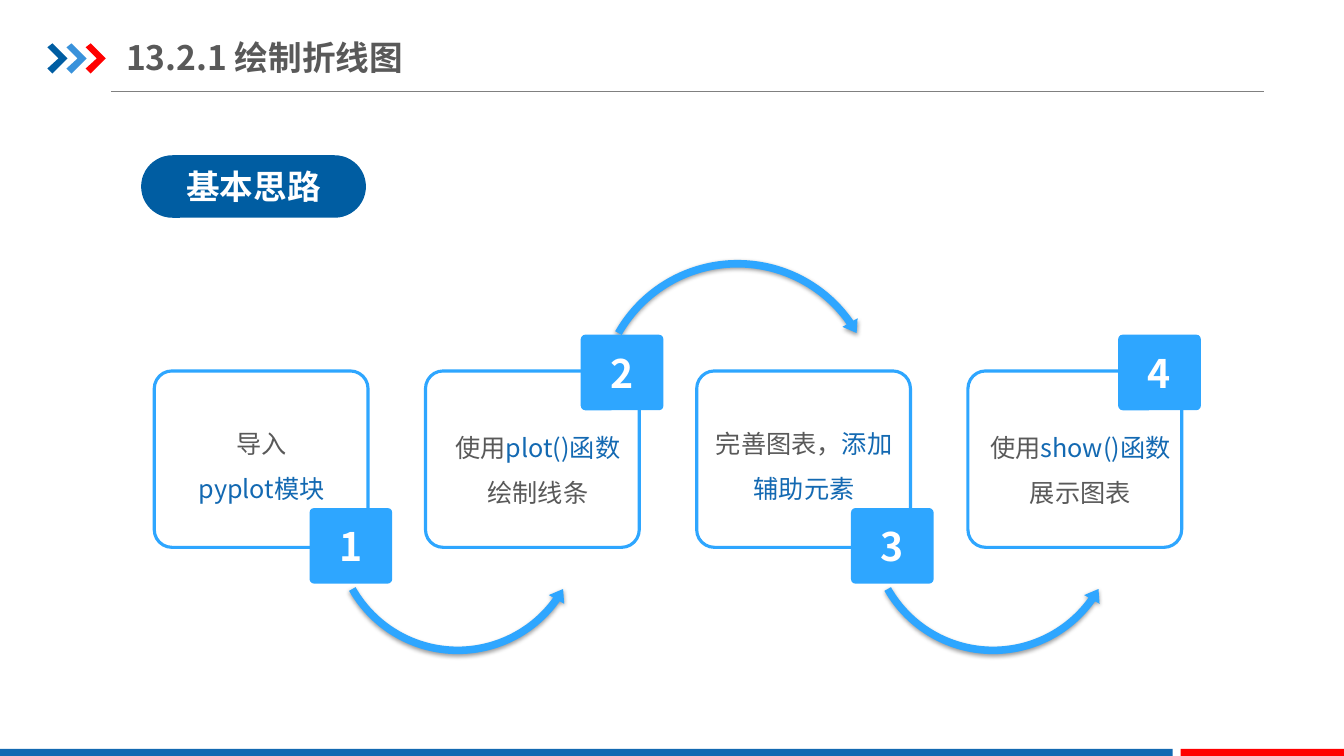
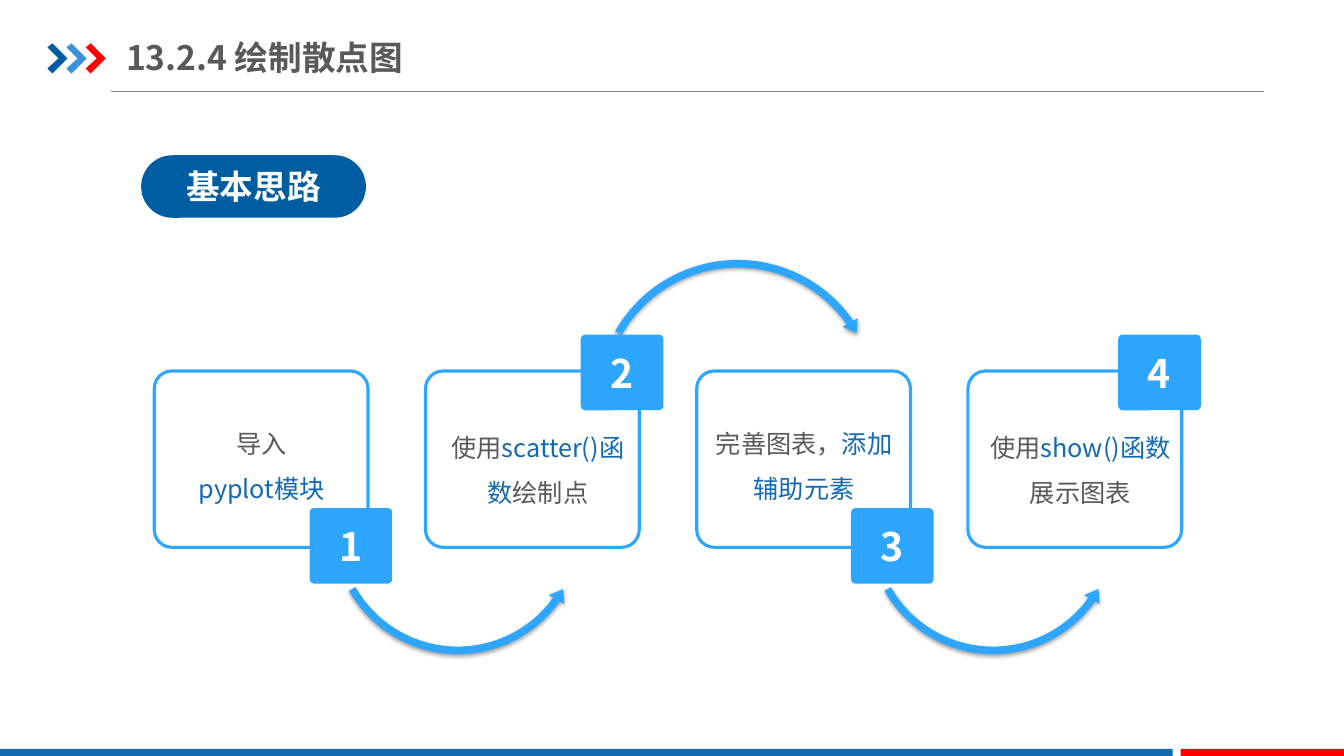
import collections

import lxml.etree
import pptx
import pptx.dml.color
import pptx.enum.shapes
import pptx.enum.text
import pptx.oxml.ns
import pptx.util

Inches = pptx.util.Inches
RGBColor = pptx.dml.color.RGBColor
SHAPE = pptx.enum.shapes.MSO_SHAPE
ALIGN = pptx.enum.text.PP_ALIGN
ANCHOR = pptx.enum.text.MSO_ANCHOR
qn = pptx.oxml.ns.qn

FONT = "Noto Sans CJK SC"
NAVY = RGBColor(0x00, 0x5D, 0xA2)
MID_BLUE = RGBColor(0x39, 0x92, 0xDB)
BLUE = RGBColor(0x13, 0x69, 0xB2)
SKY = RGBColor(0x2E, 0xA6, 0xFF)
RED = RGBColor(0xFF, 0x00, 0x00)
GREY = RGBColor(0x59, 0x59, 0x59)
RULE_GREY = RGBColor(0x80, 0x80, 0x80)
WHITE = RGBColor(0xFF, 0xFF, 0xFF)

FLOW_LEFT, FLOW_TOP, STEP_PITCH = 1.53, 3.68, 2.69
FRAME_WIDTH, FRAME_HEIGHT = 2.12, 1.75
BADGE_WIDTH, BADGE_HEIGHT = 0.82, 0.75

# badge_dx is measured from the left side of the step's frame
Step = collections.namedtuple("Step", "badge_dx badge_below paragraphs")
# dx and top place the arrow from the frame of the step it leaves
Arrow = collections.namedtuple("Arrow", "step dx dy size preset adjustments")

DIP = (SHAPE.LEFT_CIRCULAR_ARROW, (0.029, 3.512, 21.267, 90.245, 0.034))
RISE = (SHAPE.CIRCULAR_ARROW, (0.026, 3.115, 195.129, 125.755, 0.03))
ARROWS = [
    Arrow(0, 1.72, 0.28, 2.58, *DIP),
    Arrow(1, 1.65, -1.15, 2.89, *RISE),
    Arrow(2, 1.65, 0.28, 2.58, *DIP),
]


def plot_steps(function_call, purpose):
    """Four steps; every paragraph is a list of (text, colour) runs."""
    return [
        Step(1.54, True, [[("导入", GREY)], [("pyplot模块", BLUE)]]),
        Step(1.54, False, [[("使用", GREY), (function_call + "函数", BLUE), (purpose, GREY)]]),
        Step(1.53, True, [[("完善图表，", GREY), ("添加辅助元素", BLUE)]]),
        Step(1.49, False, [[("使用", GREY), ("show()函数", BLUE), ("展示图表", GREY)]]),
    ]


SLIDES = [
    ("13.2.1 绘制折线图", plot_steps("plot()", "绘制线条")),
    ("13.2.4 绘制散点图", plot_steps("scatter()", "绘制点")),
]


def paint(shape, fill=None, line=None, line_width=2.25):
    shape.shadow.inherit = False
    if fill is None:
        shape.fill.background()
    else:
        shape.fill.solid()
        shape.fill.fore_color.rgb = fill
    if line is None:
        shape.line.fill.background()
    else:
        shape.line.color.rgb = line
        shape.line.width = pptx.util.Pt(line_width)
    return shape


def add_box(slide, preset, left, top, width, height, **colours):
    shape = slide.shapes.add_shape(
        preset, Inches(left), Inches(top), Inches(width), Inches(height))
    return paint(shape, **colours)


def write(shape, paragraphs, size, bold=False, align=ALIGN.CENTER, spacing=None):
    frame = shape.text_frame
    frame.word_wrap = True
    for index, runs in enumerate(paragraphs):
        paragraph = frame.paragraphs[0] if index == 0 else frame.add_paragraph()
        paragraph.alignment = align
        if spacing:
            paragraph.line_spacing = spacing
        for text, colour in runs:
            run = paragraph.add_run()
            run.text = text
            run.font.size = pptx.util.Pt(size)
            run.font.bold = bold
            run.font.color.rgb = colour
            run.font.name = FONT
            east_asian = lxml.etree.SubElement(run.font._element, qn("a:ea"))
            east_asian.set("typeface", FONT)
    return frame


def add_text_box(slide, left, top, width, height):
    return slide.shapes.add_textbox(
        Inches(left), Inches(top), Inches(width), Inches(height))


def add_chevron(slide, left, top, colour):
    outline = [(0, 0.04), (0.05, 0), (0.2, 0.15), (0.05, 0.3), (0, 0.25), (0.11, 0.15)]
    points = [(Inches(left + x), Inches(top + y)) for x, y in outline]
    builder = slide.shapes.build_freeform(*points[0])
    builder.add_line_segments(points[1:], close=True)
    return paint(builder.convert_to_shape(), fill=colour)


def furnish_layout(layout, slide):
    """Draw the shared parts on a slide, then move them to its layout."""
    for placeholder in list(layout.placeholders):
        layout.shapes.element.remove(placeholder.element)

    # Rule under the title
    rule = slide.shapes.add_connector(
        pptx.enum.shapes.MSO_CONNECTOR.STRAIGHT,
        Inches(1.1), Inches(0.91), Inches(12.54), Inches(0.91))
    rule.line.color.rgb = RULE_GREY
    rule.line.width = pptx.util.Pt(0.75)
    lxml.etree.SubElement(rule.element.spPr, qn("a:effectLst"))

    # Chevrons before the title
    for index, colour in enumerate((NAVY, MID_BLUE, RED)):
        add_chevron(slide, 0.47 + 0.19 * index, 0.43, colour)

    # Footer bands
    for left, width, colour in ((0, 11.63, BLUE), (11.71, 1.62, RED)):
        add_box(slide, SHAPE.RECTANGLE, left, 7.43, width, 0.07, fill=colour)

    for part in list(slide.shapes):
        layout.shapes.element.append(part.element)


def add_title(slide, title):
    box = add_text_box(slide, 1.25, 0.29, 5.65, 0.55)
    frame = write(box, [[(title, GREY)]], 24, bold=True, align=ALIGN.LEFT)
    frame.margin_left = frame.margin_right = 0
    frame.margin_top = frame.margin_bottom = Inches(0.07)
    frame.vertical_anchor = ANCHOR.MIDDLE


def add_section_label(slide, label):
    pill = add_box(slide, SHAPE.ROUNDED_RECTANGLE, 1.4, 1.54, 2.23, 0.62, fill=NAVY)
    pill.adjustments[0] = 0.5
    write(pill, [[(label, WHITE)]], 24, bold=True).vertical_anchor = ANCHOR.MIDDLE


def add_arrow(slide, arrow, left, top):
    arc = add_box(slide, arrow.preset, left + arrow.dx, top + arrow.dy,
                  arrow.size, arrow.size, fill=SKY)
    for index, value in enumerate(arrow.adjustments):
        arc.adjustments[index] = value
    # Soft shadow straight below
    effects = arc.element.spPr.find(qn("a:effectLst"))
    shadow = lxml.etree.SubElement(
        effects, qn("a:outerShdw"), blurRad="40000", dist="20000",
        dir="5400000", rotWithShape="0")
    black = lxml.etree.SubElement(shadow, qn("a:srgbClr"), val="000000")
    lxml.etree.SubElement(black, qn("a:alpha"), val="38000")


def add_step(slide, number, step, left, top):
    # Frame
    frame = add_box(slide, SHAPE.ROUNDED_RECTANGLE, left, top,
                    FRAME_WIDTH, FRAME_HEIGHT, line=SKY)
    frame.adjustments[0] = 0.1

    # Description
    text_dx, text_dy = (0.03, 0.37) if step.badge_below else (0.08, 0.41)
    description = add_text_box(slide, left + text_dx, top + text_dy, 2.07, 1.01)
    write(description, step.paragraphs, 18, spacing=1.5)

    # Numbered badge
    badge_dy = 1.36 if step.badge_below else -0.36
    badge = add_box(slide, SHAPE.ROUNDED_RECTANGLE, left + step.badge_dx, top + badge_dy,
                    BADGE_WIDTH, BADGE_HEIGHT, fill=SKY)
    badge.adjustments[0] = 0.06
    write(badge, [[(str(number), WHITE)]], 28, bold=True).vertical_anchor = ANCHOR.MIDDLE


def add_flow(slide, steps, left, top):
    for arrow in ARROWS:
        add_arrow(slide, arrow, left + arrow.step * STEP_PITCH, top)
    for index, step in enumerate(steps):
        add_step(slide, index + 1, step, left + index * STEP_PITCH, top)


def main():
    deck = pptx.Presentation()
    deck.slide_width, deck.slide_height = Inches(13.33), Inches(7.5)
    blank = deck.slide_layouts[6]
    for index, (title, steps) in enumerate(SLIDES):
        slide = deck.slides.add_slide(blank)
        if index == 0:
            furnish_layout(blank, slide)
        add_title(slide, title)
        add_section_label(slide, "基本思路")
        add_flow(slide, steps, FLOW_LEFT, FLOW_TOP)
    deck.save("out.pptx")


if __name__ == "__main__":
    main()
